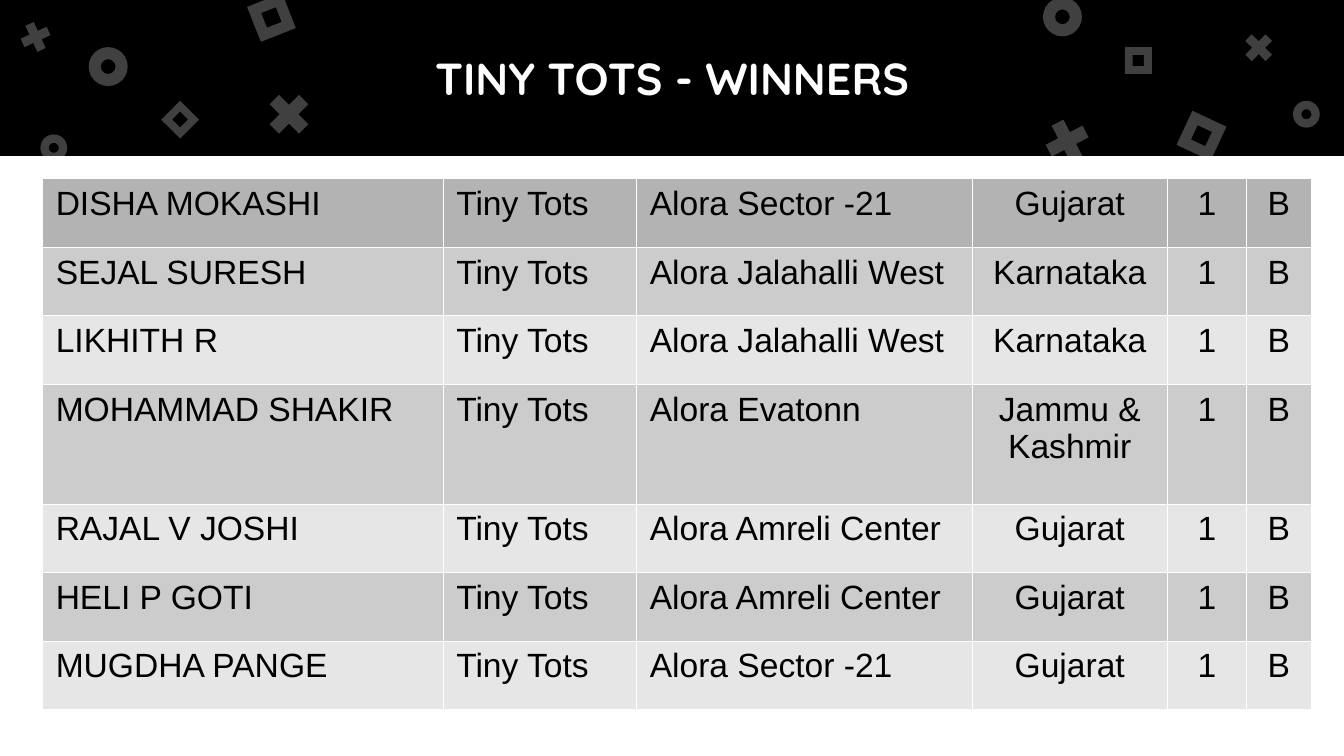
from collections import namedtuple

from lxml.etree import SubElement
from pptx import Presentation
from pptx.dml.color import RGBColor
from pptx.enum.shapes import MSO_SHAPE as Preset
from pptx.enum.text import MSO_ANCHOR as Anchor, PP_ALIGN as Align
from pptx.oxml.ns import qn
from pptx.util import Inches, Pt

Box = namedtuple("Box", "left top width height")

BLACK, WHITE, GREEN = "000000", "FFFFFF", "7BD100"
HEADER_GREY, ODD_GREY, EVEN_GREY = "B3B3B3", "CCCCCC", "E6E6E6"

RING, CROSS, FRAME = Preset.DONUT, Preset.MATH_MULTIPLY, Preset.FRAME
THICKNESS = {RING: 0.31, CROSS: 0.235, FRAME: 0.289}
LARGE, MEDIUM, SMALL = 36.2, 25, 17.2

# Preset, centre x in % of banner width, centre y and size in % of its height, rotation
ORNAMENTS = [
    (RING, 8.05, 42.7, MEDIUM, 0),
    (CROSS, 21.5, 73.3, LARGE, 0),
    (FRAME, 20.2, 11.2, 24.1, 338.4),
    (RING, 79.05, 10.8, MEDIUM, 0),
    (CROSS, 79.4, 90.5, LARGE, 17.5),
    (FRAME, 89.4, 87.1, 24.1, 25),
    (RING, 4, 94.8, SMALL, 0),
    (CROSS, 2.65, 23.7, MEDIUM, 20.4),
    (FRAME, 13.4, 76.7, SMALL, 45),
    (RING, 97.2, 73.3, SMALL, 0),
    (CROSS, 93.65, 30.6, MEDIUM, 0),
    (FRAME, 84.7, 38.8, SMALL, 0),
]

CATEGORY, RANK, LEVEL = "Tiny Tots", "1", "B"
WINNERS = [
    ("DISHA MOKASHI", "Alora Sector -21", "Gujarat"),
    ("SEJAL SURESH", "Alora Jalahalli West", "Karnataka"),
    ("LIKHITH R", "Alora Jalahalli West", "Karnataka"),
    ("MOHAMMAD SHAKIR", "Alora Evatonn", "Jammu & Kashmir"),
    ("RAJAL V JOSHI", "Alora Amreli Center", "Gujarat"),
    ("HELI P GOTI", "Alora Amreli Center", "Gujarat"),
    ("MUGDHA PANGE", "Alora Sector -21", "Gujarat"),
]
COLUMN_WEIGHTS = [2.98, 1.44, 2.5, 1.45, 0.59, 0.48]
ROW_WEIGHTS = [0.51, 0.51, 0.51, 0.89, 0.51, 0.51, 0.51]
FIRST_CENTRED_COLUMN = 3


def rgb(code):
    return RGBColor.from_string(code)


def paint(fill, code):
    fill.solid()
    fill.fore_color.rgb = rgb(code)


def add_plain(slide, preset, box, code):
    """Add a preset shape with a solid fill, no outline and no shadow."""
    shape = slide.shapes.add_shape(preset, *map(int, box))
    shape.shadow.inherit = False
    paint(shape.fill, code)
    shape.line.fill.background()
    return shape


def add_ornament(slide, banner, preset, x, y, size, rotation):
    side = banner.height * size / 100
    centre_x = banner.left + banner.width * x / 100
    centre_y = banner.top + banner.height * y / 100
    box = Box(centre_x - side / 2, centre_y - side / 2, side, side)
    ornament = add_plain(slide, preset, box, WHITE)
    ornament.adjustments[0] = THICKNESS[preset]
    ornament.rotation = rotation
    colour = ornament.element.spPr.find(".//" + qn("a:srgbClr"))
    SubElement(colour, qn("a:alpha"), val="25000")


def add_banner(slide, box):
    add_plain(slide, Preset.RECTANGLE, box, BLACK)
    for ornament in ORNAMENTS:
        add_ornament(slide, box, *ornament)


def place_title(slide, box, text):
    """Set the title inside the banner, in front of its ornaments."""
    title = slide.shapes.title
    slide.shapes.element.append(title.element)
    title.left, title.width = int(box.width * 0.05), int(box.width * 0.9)
    title.top, title.height = box.top, box.height
    frame = title.text_frame
    frame.text = text
    frame.word_wrap = True
    frame.vertical_anchor = Anchor.MIDDLE
    frame.margin_left = frame.margin_right = Inches(0.1)
    frame.margin_top = frame.margin_bottom = Inches(0.1)
    heading = frame.paragraphs[0]
    heading.alignment = Align.CENTER
    heading.font.name = "Quicksand"
    heading.font.size = Pt(24)
    heading.font.bold = True
    heading.font.color.rgb = rgb(WHITE)


def add_borders(cell):
    properties = cell._tc.get_or_add_tcPr()
    for side in ("L", "R", "T", "B"):
        line = SubElement(properties, qn(f"a:ln{side}"), w=str(Pt(0.06)))
        SubElement(SubElement(line, qn("a:solidFill")), qn("a:srgbClr"), val=WHITE)


def fill_cell(cell, text, fill, alignment):
    add_borders(cell)
    paint(cell.fill, fill)
    cell.text = text
    entry = cell.text_frame.paragraphs[0]
    entry.alignment = alignment
    entry.font.name = "Arial"
    entry.font.size = Pt(18)
    entry.font.bold = False
    entry.font.color.rgb = rgb(BLACK)


def row_colour(row):
    if row == 0:
        return HEADER_GREY
    return ODD_GREY if row % 2 else EVEN_GREY


def add_winners(slide, box):
    table = slide.shapes.add_table(
        len(WINNERS), len(COLUMN_WEIGHTS), *map(int, box)).table
    table.first_row = table.horz_banding = False
    for column, weight in zip(table.columns, COLUMN_WEIGHTS):
        column.width = int(box.width * weight / sum(COLUMN_WEIGHTS))
    for row, weight in zip(table.rows, ROW_WEIGHTS):
        row.height = int(box.height * weight / sum(ROW_WEIGHTS))
    for r, (name, center, state) in enumerate(WINNERS):
        for c, text in enumerate((name, CATEGORY, center, state, RANK, LEVEL)):
            alignment = Align.CENTER if c >= FIRST_CENTRED_COLUMN else Align.LEFT
            fill_cell(table.cell(r, c), text, row_colour(r), alignment)


def main():
    deck = Presentation()
    deck.slide_width = width = Inches(10)
    deck.slide_height = height = width * 9 // 16
    slide = deck.slides.add_slide(deck.slide_layouts.get_by_name("Title Only"))
    paint(slide.background.fill, GREEN)

    banner = Box(0, 0, width, Inches(1.16))
    page = Box(0, banner.height, width, height - banner.height)
    add_plain(slide, Preset.RECTANGLE, page, WHITE)
    add_banner(slide, banner)
    place_title(slide, banner, "TINY TOTS - WINNERS")
    add_winners(slide, Box(width * 0.0315, page.top + page.height * 0.0375,
                           width * 0.944, page.height * 0.885))
    deck.save("out.pptx")


if __name__ == "__main__":
    main()
